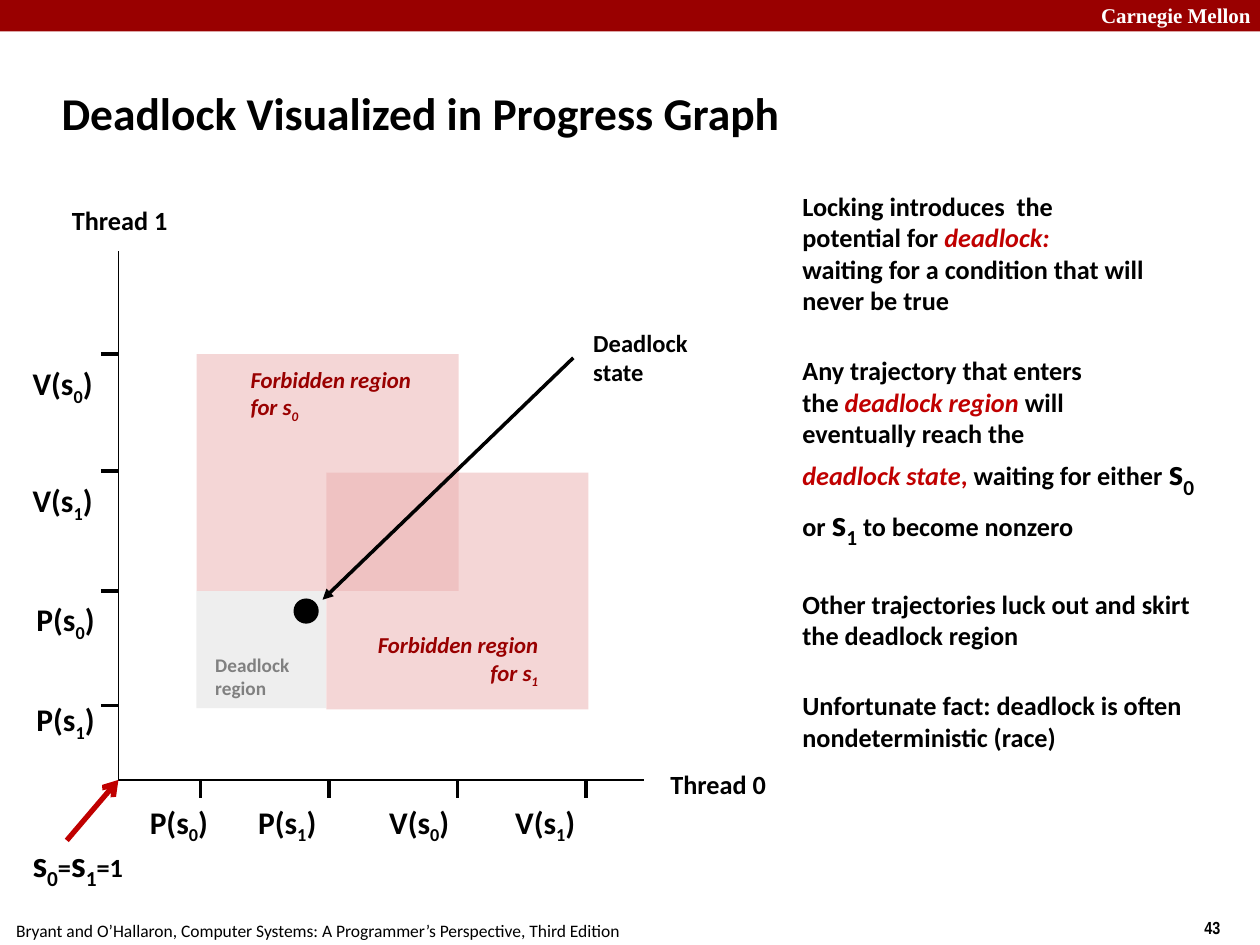
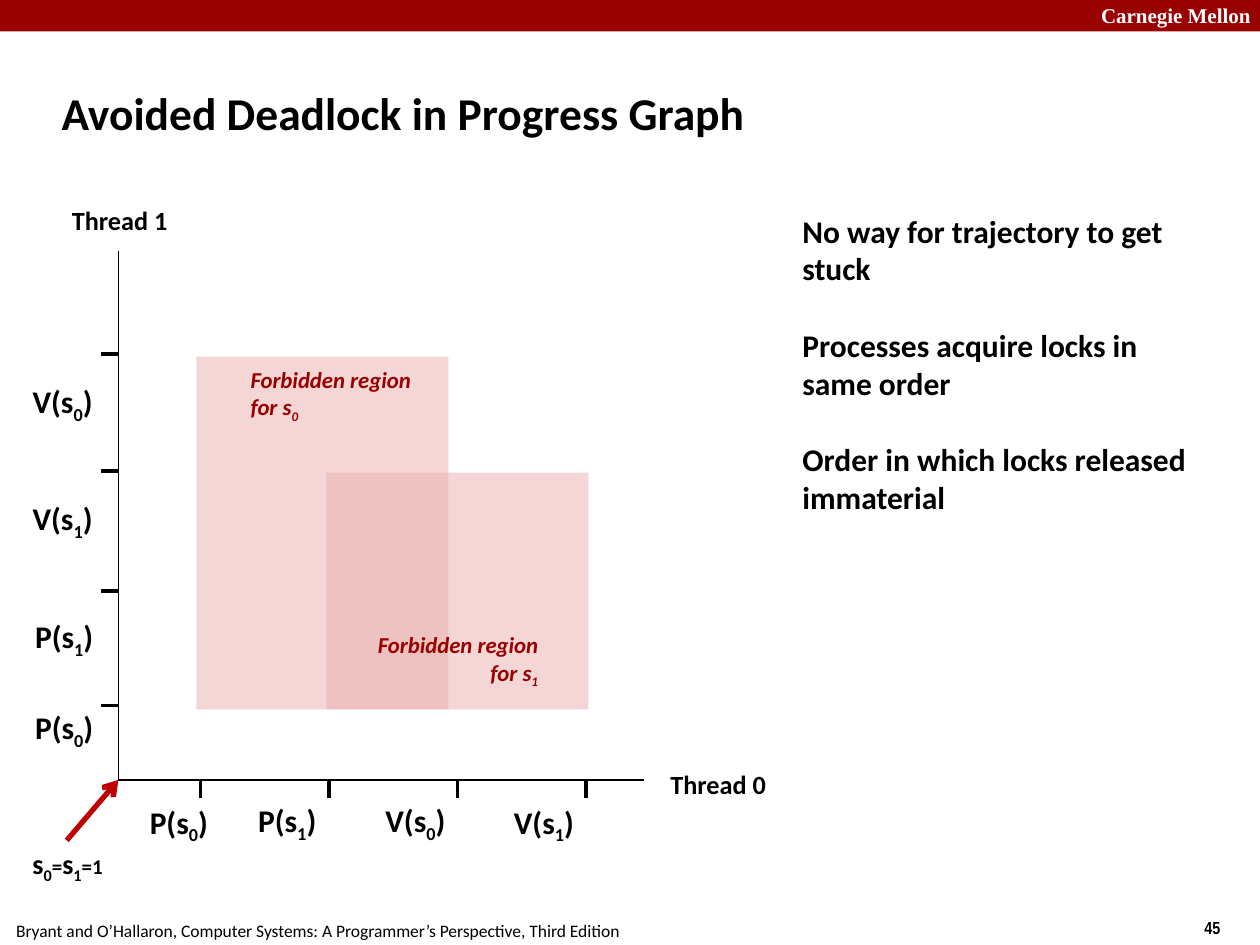
"""Build two slides that compare deadlock and avoided deadlock in progress graphs."""
from dataclasses import dataclass

from lxml import etree
from pptx import Presentation
from pptx.dml.color import RGBColor
from pptx.enum.shapes import MSO_CONNECTOR, MSO_SHAPE
from pptx.enum.text import MSO_ANCHOR, MSO_AUTO_SIZE, PP_ALIGN
from pptx.oxml.ns import qn
from pptx.util import Inches, Pt

RECTANGLE, OVAL = MSO_SHAPE.RECTANGLE, MSO_SHAPE.OVAL
STRAIGHT = MSO_CONNECTOR.STRAIGHT
TOP, MIDDLE = MSO_ANCHOR.TOP, MSO_ANCHOR.MIDDLE
LEFT, CENTER, RIGHT = PP_ALIGN.LEFT, PP_ALIGN.CENTER, PP_ALIGN.RIGHT
GROW, FIXED = MSO_AUTO_SIZE.SHAPE_TO_FIT_TEXT, MSO_AUTO_SIZE.NONE

ORIGIN = (0.94, 6.19)
TICK_LENGTH = 0.14
ROW_TICKS = (2.81, 3.74, 4.69, 5.6)
COLUMN_TICKS = [1.59 + 1.02 * column for column in range(4)]
FOOTER = "Bryant and O’Hallaron, Computer Systems: A Programmer’s Perspective, Third Edition"


@dataclass(frozen=True)
class Theme:
    """Colours, fonts and type sizes shared by the slides."""
    black: RGBColor = RGBColor(0, 0, 0)
    white: RGBColor = RGBColor(255, 255, 255)
    band: RGBColor = RGBColor(0x99, 0, 0)
    accent: RGBColor = RGBColor(0xC0, 0, 0)
    forbidden: RGBColor = RGBColor(0xEB, 0xAF, 0xAF)
    deadlock: RGBColor = RGBColor(0xCC, 0xCC, 0xCC)
    muted: RGBColor = RGBColor(0x80, 0x80, 0x80)
    font: str = "Calibri"
    band_font: str = "Times New Roman"
    number_font: str = "Arial Narrow"
    title: int = 26
    semaphore: int = 21
    label: int = 18
    small_semaphore: int = 16
    body: int = 15
    callout: int = 14
    region: int = 13
    small: int = 12
    note: int = 11
    footer: int = 10
    group_gap: int = 22


@dataclass(frozen=True)
class Span:
    """A stretch of text with the formatting that differs from its box."""
    text: str
    size: int | None = None
    color: RGBColor | None = None
    italic: bool = False
    subscript: bool = False


def indexed(name, index, size=None):
    """Return a name followed by its subscript."""
    return [Span(name, size), Span(index, size, subscript=True)]


class ProgressDeck:
    """Hold the theme and the current slide, and draw each kind of element."""

    def __init__(self):
        self.theme = Theme()
        self.presentation = Presentation()
        self.presentation.slide_width = Inches(10)
        self.presentation.slide_height = Inches(7.5)
        self.slide = None

    def start_slide(self, title, number):
        """Add a slide with its band, footer and title."""
        theme = self.theme
        self.slide = self.presentation.slides.add_slide(self.presentation.slide_layouts[6])
        self.shape(RECTANGLE, (0, 0, 10, 0.25), theme.band)
        self.text((8.64, -0.03, 1.43, 0.3), ["Carnegie Mellon"], theme.small,
                  color=theme.white, font=theme.band_font, wrap=True)
        self.text((9.46, 7.23, 0.75, 0.27), [number], theme.footer, font=theme.number_font)
        self.text((0.03, 7.25, 5.1, 0.27), [FOOTER], theme.footer, bold=False)
        self.text((0.39, 0.48, 8.3, 0.83), [title], theme.title,
                  anchor=MIDDLE, wrap=True, grow=False)

    def shape(self, kind, box, color, opacity=100):
        """Draw a filled preset shape without an outline."""
        shape = self.slide.shapes.add_shape(kind, *map(Inches, box))
        shape.shadow.inherit = False
        shape.fill.solid()
        shape.fill.fore_color.rgb = color
        shape.line.fill.background()
        if opacity < 100:
            fill_color = shape._element.spPr.find(".//" + qn("a:srgbClr"))
            etree.SubElement(fill_color, qn("a:alpha")).set("val", str(opacity * 1000))

    def line(self, start, end, width=2, color=None, arrowhead=None):
        """Draw a straight line, with an arrowhead at its end if one is named."""
        connector = self.slide.shapes.add_connector(STRAIGHT, *map(Inches, (*start, *end)))
        connector.line.color.rgb = color or self.theme.black
        connector.line.width = Pt(width)
        properties = connector._element.spPr
        if arrowhead:
            outline = properties.find(qn("a:ln"))
            etree.SubElement(outline, qn("a:tailEnd")).set("type", arrowhead)
        etree.SubElement(properties, qn("a:effectLst"))

    def text(self, box, paragraphs, size, color=None, font=None, bold=True, italic=False,
             align=LEFT, anchor=TOP, margin=0.05, wrap=False, grow=True, starts=()):
        """Write paragraphs of strings or spans, with a gap before each index in starts."""
        frame = self.slide.shapes.add_textbox(*map(Inches, box)).text_frame
        frame.word_wrap = wrap
        frame.auto_size = GROW if grow else FIXED
        frame.vertical_anchor = anchor
        frame.margin_top = frame.margin_bottom = Inches(margin)
        for index, content in enumerate(paragraphs):
            paragraph = frame.add_paragraph() if index else frame.paragraphs[0]
            paragraph.alignment = align
            if index in starts:
                paragraph.space_before = Pt(self.theme.group_gap)
            for span in [Span(content)] if isinstance(content, str) else content:
                run = paragraph.add_run()
                run.text = span.text
                run.font.name = font or self.theme.font
                run.font.size = Pt(span.size or size)
                run.font.bold = bold
                run.font.italic = italic or span.italic
                run.font.color.rgb = span.color or color or self.theme.black
                if span.subscript:
                    run._r.get_or_add_rPr().set("baseline", "-25000")

    def operation(self, name, left, top):
        """Label a step such as P0 as P(s) with a subscript."""
        action, index = name
        label = [*indexed(f"{action}(s", index), Span(")")]
        self.text((left, top, 0.75, 0.44), [label], self.theme.label, anchor=MIDDLE)

    def axes(self, columns, rows):
        """Draw both thread axes, their ticks and the (name, left, top) step labels."""
        x, y = ORIGIN
        self.line(ORIGIN, (5.11, y), 1)
        self.line(ORIGIN, (x, 1.99), 1)
        for name, left, top in (("Thread 0", 5.22, 6.05), ("Thread 1", 0.47, 1.57)):
            self.text((left, top, 0.96, 0.35), [name], self.theme.body,
                      align=CENTER, anchor=MIDDLE)
        for tick in ROW_TICKS:
            self.line((x - TICK_LENGTH, tick), (x, tick))
        for tick in COLUMN_TICKS:
            self.line((tick, y), (tick, y + TICK_LENGTH))
        for step in columns + rows:
            self.operation(*step)

    def forbidden_regions(self, first_box):
        """Draw the forbidden regions of both semaphores and name them."""
        theme = self.theme
        for box in (first_box, (2.59, 3.75, 2.08, 1.88)):
            self.shape(RECTANGLE, box, theme.forbidden, 50)
        for index, left, top, align in (("0", 1.89, 2.85, LEFT), ("1", 2.9, 4.96, RIGHT)):
            self.text((left, top, 1.47, 0.56), ["Forbidden region", indexed("for s", index)],
                      theme.region, color=theme.band, italic=True, align=align)

    def initial_state(self, box, semaphore_size, sign_size):
        """Write the starting semaphore values and point at the origin."""
        values = [*indexed("s", "0", semaphore_size), Span("="),
                  *indexed("s", "1", semaphore_size), Span("=1")]
        self.text(box, [values], sign_size, anchor=MIDDLE, margin=0)
        self.line((0.53, 6.67), ORIGIN, 3, self.theme.accent, "arrow")

    def explanation(self, top, height, paragraphs, size, starts):
        """Write the commentary to the right of the graph."""
        self.text((6.27, top, 3.4, height), paragraphs, size, margin=0, wrap=True, starts=starts)

    def term(self, text):
        """Return an emphasised term."""
        return Span(text, color=self.theme.accent, italic=True)


def add_deadlock_slide(deck):
    """Show the trajectory that ends in the deadlock state."""
    theme = deck.theme
    deck.start_slide("Deadlock Visualized in Progress Graph", "43")
    deck.shape(RECTANGLE, (1.56, 4.69, 1.03, 0.93), theme.deadlock, 32)
    deck.explanation(1.51, 4.45, [
        "Locking introduces  the",
        [Span("potential for "), deck.term("deadlock:")],
        "waiting for a condition that will never be true",
        "Any trajectory that enters",
        [Span("the "), deck.term("deadlock region "), Span("will")],
        "eventually reach the",
        [deck.term("deadlock state"), Span(", ", color=theme.accent),
         Span("waiting for either "), *indexed("s", "0", theme.semaphore), Span(" or "),
         *indexed("s", "1", theme.semaphore), Span(" to become nonzero")],
        "Other trajectories luck out and skirt the deadlock region",
        "Unfortunate fact: deadlock is often nondeterministic (race)",
    ], theme.body, starts=(3, 7, 8))
    deck.axes(
        [("P0", 1.09, 6.32), ("P1", 1.95, 6.32), ("V0", 2.99, 6.32), ("V1", 3.99, 6.32)],
        [("V0", 0.16, 2.84), ("V1", 0.16, 3.77), ("P0", 0.19, 4.71), ("P1", 0.19, 5.51)])
    deck.forbidden_regions((1.56, 2.81, 2.08, 1.88))
    deck.shape(OVAL, (2.33, 4.75, 0.2, 0.2), theme.black)
    deck.text((4.61, 2.6, 0.95, 0.47), ["Deadlock", "state"], theme.callout,
              anchor=MIDDLE, margin=0)
    deck.line((4.55, 2.84), (2.56, 4.76), arrowhead="triangle")
    deck.text((1.61, 5.18, 0.79, 0.37), ["Deadlock", "region"], theme.note,
              color=theme.muted, anchor=MIDDLE, margin=0)
    deck.initial_state((0.16, 6.67, 0.92, 0.4), theme.semaphore, theme.body)


def add_avoidance_slide(deck):
    """Show how a common lock order avoids deadlock."""
    theme = deck.theme
    deck.start_slide("Avoided Deadlock in Progress Graph", "45")
    deck.axes(
        [("P0", 1.09, 6.32), ("P1", 1.95, 6.31), ("V0", 2.96, 6.31), ("V1", 3.98, 6.32)],
        [("V0", 0.16, 2.98), ("V1", 0.16, 3.91), ("P1", 0.18, 4.85), ("P0", 0.18, 5.57)])
    deck.forbidden_regions((1.56, 2.83, 2, 2.8))
    deck.initial_state((0.16, 6.72, 0.76, 0.3), theme.small_semaphore, theme.small)
    deck.explanation(1.68, 2.4, [
        "No way for trajectory to get stuck",
        "Processes acquire locks in same order",
        "Order in which locks released immaterial",
    ], theme.label, starts=(1, 2))


def main():
    """Build and save the presentation."""
    deck = ProgressDeck()
    add_deadlock_slide(deck)
    add_avoidance_slide(deck)
    deck.presentation.save("out.pptx")


if __name__ == "__main__":
    main()
